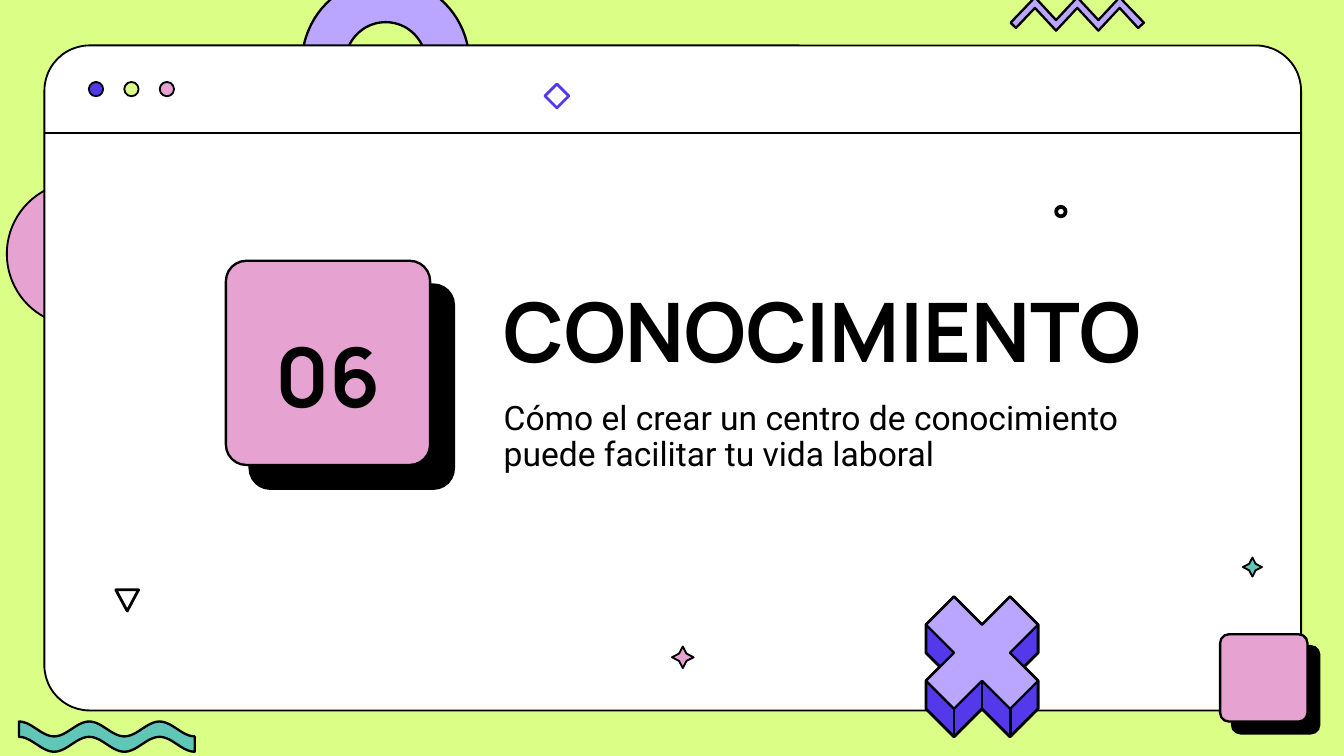
from dataclasses import dataclass
from math import cos, pi, radians, sin
from typing import Optional

from lxml.etree import SubElement
from pptx import Presentation
from pptx.dml.color import RGBColor
from pptx.enum.shapes import MSO_CONNECTOR, MSO_SHAPE
from pptx.enum.text import MSO_ANCHOR, PP_ALIGN
from pptx.oxml.ns import qn
from pptx.util import Cm, Pt

COLORS = {
    "lime": "DBFE87", "white": "FFFFFF", "black": "000000", "pink": "E6A2D0",
    "lilac": "BAA5FF", "violet": "5339EA", "teal": "60C7B8",
}
Points = list[tuple[float, float]]


@dataclass
class Figure:
    kind: MSO_SHAPE
    x: float
    y: float
    w: float
    h: float
    fill: Optional[str]
    line: str = "black"
    weight: float = 1
    adj: Optional[float] = None
    shadow: float = 0


@dataclass
class Label:
    text: str
    x: float
    y: float
    w: float
    h: float
    font: str
    size: int
    bold: bool = True
    anchor: MSO_ANCHOR = MSO_ANCHOR.TOP
    align: PP_ALIGN = PP_ALIGN.LEFT
    before: float = 0


def rgb(name: str) -> RGBColor:
    return RGBColor.from_string(COLORS[name])


def paint(sp, fill: Optional[str], line: str, weight: float) -> None:
    sp.shadow.inherit = False
    if fill:
        sp.fill.solid()
        sp.fill.fore_color.rgb = rgb(fill)
    else:
        sp.fill.background()
    sp.line.color.rgb = rgb(line)
    sp.line.width = Pt(weight)


def draw_figure(s, f: Figure) -> None:
    sp = s.shapes.add_shape(f.kind, Cm(f.x), Cm(f.y), Cm(f.w), Cm(f.h))
    paint(sp, f.fill, f.line, f.weight)
    if f.adj is not None:
        sp.adjustments[0] = f.adj
    if f.shadow:
        effects = sp._element.spPr.find(qn("a:effectLst"))
        outer = SubElement(effects, qn("a:outerShdw"), blurRad="0", dist=str(Pt(f.shadow)),
                           dir="2700000", algn="bl", rotWithShape="0")
        SubElement(outer, qn("a:srgbClr"), val=COLORS["black"])


def draw_outline(s, points: Points, fill: str, weight: float = 1.25) -> None:
    start, *rest = [(Cm(x), Cm(y)) for x, y in points]
    builder = s.shapes.build_freeform(*start)
    builder.add_line_segments(rest, close=True)
    paint(builder.convert_to_shape(), fill, "black", weight)


def draw_line(s, x1: float, y1: float, x2: float, y2: float, weight: float) -> None:
    c = s.shapes.add_connector(MSO_CONNECTOR.STRAIGHT, Cm(x1), Cm(y1), Cm(x2), Cm(y2))
    c.line.color.rgb = rgb("black")
    c.line.width = Pt(weight)
    SubElement(c._element.spPr, qn("a:effectLst"))


def draw_label(s, t: Label) -> None:
    tf = s.shapes.add_textbox(Cm(t.x), Cm(t.y), Cm(t.w), Cm(t.h)).text_frame
    tf.word_wrap = True
    tf.vertical_anchor = t.anchor
    tf.margin_top = tf.margin_bottom = Cm(0.25)
    p = tf.paragraphs[0]
    p.text = t.text
    p.alignment = t.align
    p.line_spacing = 0.9
    p.space_before = Pt(t.before)
    p.font.name, p.font.size, p.font.bold = t.font, Pt(t.size), t.bold
    p.font.color.rgb = rgb("black")


def arc(cx: float, cy: float, r: float, start: int, end: int, steps: int = 40) -> Points:
    """Points on an arc; angles in degrees, clockwise from the right."""
    angles = [radians(start + (end - start) * i / steps) for i in range(steps + 1)]
    return [(cx + r * cos(a), cy + r * sin(a)) for a in angles]


def draw_arch(s) -> None:
    cx, cy, outer, inner = 7.29, 1.18, 1.58, 0.76
    mid, cap = (outer + inner) / 2, (outer - inner) / 2
    draw_outline(s, arc(cx, cy, outer, 180, 360) + arc(cx + mid, cy, cap, 0, 180)
                 + arc(cx, cy, inner, 360, 180) + arc(cx - mid, cy, cap, 0, 180), "lilac")


def draw_cross(s) -> None:
    x0, y0, step = 17.5, 11.28, 0.53

    def on_grid(cells: Points) -> Points:
        return [(x0 + step * col, y0 + step * row) for col, row in cells]

    body = [(4, 1), (4, 2), (3.5, 2.5), (4, 3), (4, 4), (3, 5), (2, 4), (1, 5), (0, 4),
            (0, 3), (0.5, 2.5), (0, 2), (0, 1), (1, 0), (2, 1), (3, 0)]
    face = [(3, 0), (4, 1), (3, 2), (4, 3), (3, 4), (2, 3), (1, 4), (0, 3), (1, 2),
            (0, 1), (1, 0), (2, 1)]
    draw_outline(s, on_grid(body), "violet", 1.5)
    draw_outline(s, on_grid(face), "lilac")
    for col, row in [(1, 4), (2, 3), (3, 4)]:
        top, bottom = on_grid([(col, row), (col, row + 1)])
        draw_line(s, *top, *bottom, 1.5)


def draw_wave(s) -> None:
    x0, width, y_mid, height, thick, steps = 0.36, 3.32, 13.78, 0.14, 0.29, 100
    top = [(x0 + width * i / steps, y_mid - height * cos(5 * pi * i / steps))
           for i in range(steps + 1)]
    draw_outline(s, top + [(x, y + thick) for x, y in reversed(top)], "teal")


def draw_zigzag(s) -> None:
    teeth = [(19.56 + 0.4 * i, 0.38 if i % 2 else -0.05) for i in range(5)]
    lower = [(x, y + 0.2) for x, y in reversed(teeth)]
    draw_outline(s, [(19.1, 0.43), *teeth, (21.62, 0.43), (21.51, 0.53), *lower, (19.2, 0.53)],
                 "lilac")


WINDOW = Figure(MSO_SHAPE.ROUNDED_RECTANGLE, 0.84, 0.86, 23.75, 12.57, "white", adj=0.068)
NUMBER_CARD = Figure(MSO_SHAPE.ROUNDED_RECTANGLE, 4.27, 4.93, 3.86, 3.86, "pink",
                     weight=1.25, adj=0.1, shadow=18)
LABELS = [
    Label("CONOCIMIENTO", 9.27, 3.76, 13.31, 3.68, "Manrope", 44, anchor=MSO_ANCHOR.BOTTOM),
    Label("Cómo el crear un centro de conocimiento puede facilitar tu vida laboral",
          9.27, 7.34, 12.34, 1.19, "Roboto", 18, bold=False, before=7.5),
    Label("06", 4.29, 6.2, 3.84, 2.01, "Manrope", 44, anchor=MSO_ANCHOR.MIDDLE,
          align=PP_ALIGN.CENTER, before=7.5),
]
ORNAMENTS = [
    Figure(MSO_SHAPE.STAR_4_POINT, 12.7, 12.22, 0.41, 0.41, "pink", adj=0.24),
    Figure(MSO_SHAPE.STAR_4_POINT, 23.49, 10.54, 0.36, 0.36, "teal", adj=0.24),
    Figure(MSO_SHAPE.FLOWCHART_MERGE, 2.19, 11.15, 0.43, 0.4, None, weight=1.5),
    Figure(MSO_SHAPE.DIAMOND, 10.3, 1.59, 0.45, 0.45, None, "violet", 1.5),
    Figure(MSO_SHAPE.OVAL, 19.96, 3.91, 0.18, 0.18, None, weight=2),
    Figure(MSO_SHAPE.ROUNDED_RECTANGLE, 23.06, 11.99, 1.65, 1.65, "pink",
           weight=1.25, adj=0.1, shadow=9),
]


def main() -> None:
    prs = Presentation()
    prs.slide_width, prs.slide_height = Cm(25.4), Cm(14.29)
    s = prs.slides.add_slide(prs.slide_layouts[6])
    s.background.fill.solid()
    s.background.fill.fore_color.rgb = rgb("lime")

    # Shapes behind the window
    draw_arch(s)
    draw_outline(s, arc(1.49, 4.8, 1.36, 90, 270), "pink", 1)

    # Browser window with its title bar
    draw_figure(s, WINDOW)
    draw_line(s, WINDOW.x, 2.51, WINDOW.x + WINDOW.w, 2.51, 1)
    for i, color in enumerate(["violet", "lime", "pink"]):
        draw_figure(s, Figure(MSO_SHAPE.OVAL, 1.68 + 0.67 * i, 1.55, 0.27, 0.27, color))

    # Section number, title and subtitle
    draw_figure(s, NUMBER_CARD)
    for label in LABELS:
        draw_label(s, label)

    # Ornaments in front
    for ornament in ORNAMENTS:
        draw_figure(s, ornament)
    draw_cross(s)
    draw_wave(s)
    draw_zigzag(s)

    prs.save("out.pptx")


if __name__ == "__main__":
    main()
